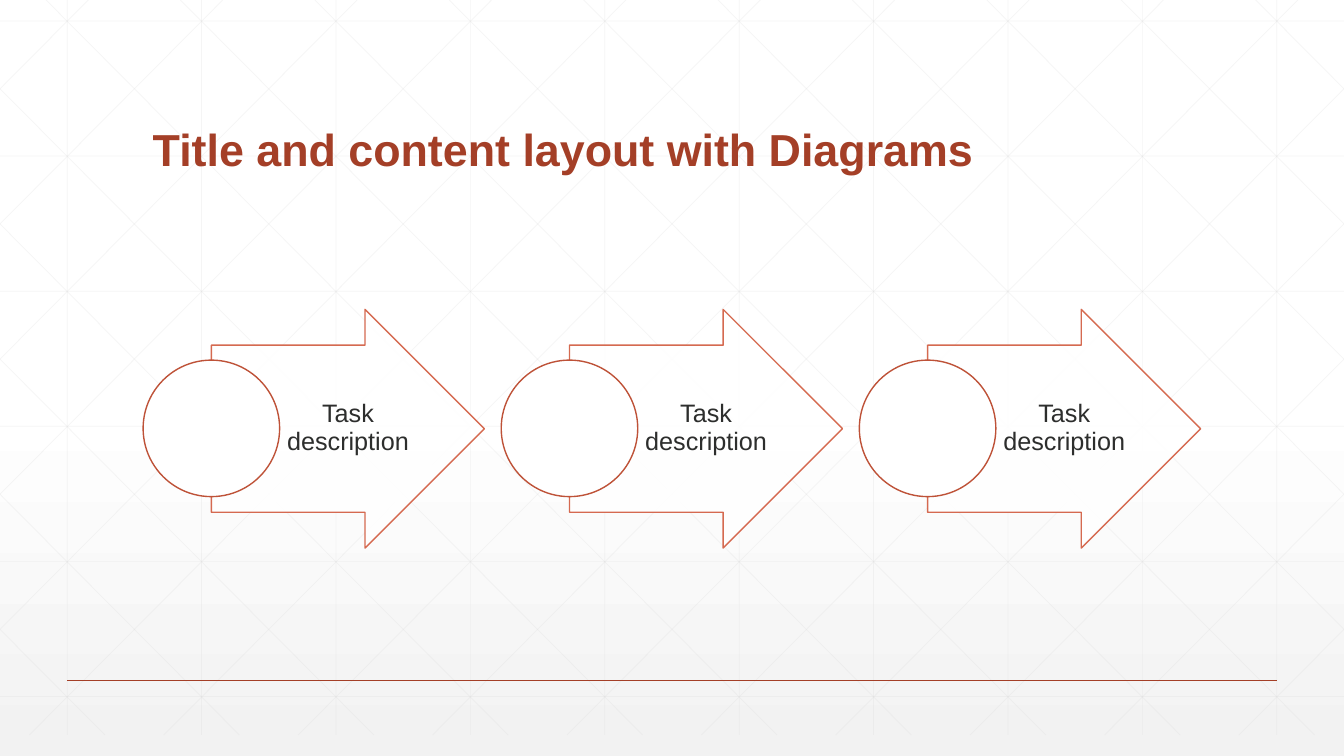
import dataclasses

import lxml.etree
import pptx
import pptx.dml.color
import pptx.enum.dml
import pptx.enum.shapes
import pptx.enum.text
import pptx.oxml.ns
import pptx.util

Pt = pptx.util.Pt
RGB = pptx.dml.color.RGBColor
Preset = pptx.enum.shapes.MSO_SHAPE
Align = pptx.enum.text.PP_ALIGN
Anchor = pptx.enum.text.MSO_ANCHOR
qn = pptx.oxml.ns.qn


@dataclasses.dataclass(frozen=True)
class Theme:
    font: str = "Arial"
    title_size: float = 32
    task_size: float = 18
    accent: str = "A43F27"
    text: str = "2D2E2D"
    arrow_line: str = "D15A3E"
    circle_line: str = "BE5238"
    paper: str = "FFFFFF"
    shade: str = "F2F2F2"
    grid: str = "D9D9D9"


@dataclasses.dataclass(frozen=True)
class Box:
    left: float
    top: float
    width: float
    height: float

    def shifted(self, offset: float) -> "Box":
        return dataclasses.replace(self, left=self.left + offset)

    def lengths(self) -> list:
        return [Pt(value) for value in dataclasses.astuple(self)]


@dataclasses.dataclass(frozen=True)
class Line:
    x1: float
    y1: float
    x2: float
    y2: float

    def mirrored(self) -> "Line":
        return Line(WIDTH - self.x1, self.y1, WIDTH - self.x2, self.y2)


@dataclasses.dataclass(frozen=True)
class Outline:
    preset: int
    box: Box
    color: str
    opacity: int = 100


THEME = Theme()
WIDTH, HEIGHT = 960, 540
GRID_TOP, GRID_BOTTOM = -15, 525
DIAGONAL_RUN = 537
SLOPE = (GRID_BOTTOM - GRID_TOP) / DIAGONAL_RUN
STEP_PITCH = 255.8

TITLE_BOX = Box(102, 39.6, 756, 90)
ARROW = Outline(Preset.RIGHT_ARROW, Box(151, 221, 195, 170.5), THEME.arrow_line, 90)
CIRCLE = Outline(Preset.OVAL, Box(102.25, 257.25, 97.5, 97.5), THEME.circle_line)
TASK_BOX = Box(200.2, 246.2, 95.2, 119.5)
TASKS = ["Task description"] * 3


def set_opacity(parent, percent: int) -> None:
    for color in parent.iter(qn("a:srgbClr")):
        lxml.etree.SubElement(color, qn("a:alpha"), val=str(percent * 1000))


def draw_line(slide, line: Line, color: str, weight: float, opacity: int = 100) -> None:
    ends = [Pt(value) for value in dataclasses.astuple(line)]
    connector = slide.shapes.add_connector(pptx.enum.shapes.MSO_CONNECTOR.STRAIGHT, *ends)
    connector.line.color.rgb = RGB.from_string(color)
    connector.line.width = Pt(weight)
    properties = connector._element.spPr
    if opacity < 100:
        set_opacity(properties, opacity)
    lxml.etree.SubElement(properties, qn("a:effectLst"))


def draw_outline(slide, outline: Outline, offset: float):
    shape = slide.shapes.add_shape(outline.preset, *outline.box.shifted(offset).lengths())
    shape.shadow.inherit = False
    shape.fill.solid()
    shape.fill.fore_color.rgb = RGB.from_string(THEME.paper)
    shape.line.color.rgb = RGB.from_string(outline.color)
    shape.line.width = Pt(1)
    if outline.opacity < 100:
        set_opacity(shape._element.spPr, outline.opacity)
    return shape


def draw_text(slide, box: Box, text: str, size: float, color: str, anchor, align, bold: bool = False):
    frame = slide.shapes.add_textbox(*box.lengths()).text_frame
    frame.word_wrap = True
    frame.vertical_anchor = anchor
    paragraph = frame.paragraphs[0]
    paragraph.text = text
    paragraph.alignment = align
    paragraph.line_spacing = 0.9
    paragraph.font.name = THEME.font
    paragraph.font.size = Pt(size)
    paragraph.font.bold = bold
    paragraph.font.color.rgb = RGB.from_string(color)
    return frame


def grid_lines() -> list[Line]:
    verticals = [Line(48 + 96 * i, 0, 48 + 96 * i, GRID_BOTTOM) for i in range(10)]
    horizontals = [Line(0, 15 + 96.5 * i, WIDTH, 15 + 96.5 * i) for i in range(6)]
    diagonals = []
    for i in range(-5, 10):
        origin = 18 + 96 * i
        start = max(0, origin - GRID_TOP / SLOPE)
        end = min(WIDTH, origin + DIAGONAL_RUN)
        heights = [GRID_TOP + (x - origin) * SLOPE for x in (start, end)]
        diagonals.append(Line(start, heights[0], end, heights[1]))
    return verticals + horizontals + diagonals + [line.mirrored() for line in diagonals]


def draw_background(slide) -> None:
    fill = slide.background.fill
    fill.gradient()
    fill.gradient_angle = 270
    for stop, position, color in zip(fill.gradient_stops, (0.53, 1), (THEME.paper, THEME.shade)):
        stop.position = position
        stop.color.rgb = RGB.from_string(color)
    for line in grid_lines():
        draw_line(slide, line, THEME.grid, 0.5, 25)
    draw_line(slide, Line(48, 486, 912, 486), THEME.accent, 1)


def draw_step(slide, task: str, offset: float) -> None:
    arrow = draw_outline(slide, ARROW, offset)
    arrow.adjustments[0] = 0.7
    arrow.adjustments[1] = 0.5
    label = draw_text(slide, TASK_BOX.shifted(offset), task, THEME.task_size, THEME.text,
                      Anchor.MIDDLE, Align.CENTER)
    label.margin_left, label.margin_right = Pt(3.6), Pt(2)
    label.margin_top = label.margin_bottom = Pt(0.9)
    draw_outline(slide, CIRCLE, offset)


presentation = pptx.Presentation()
presentation.slide_width, presentation.slide_height = Pt(WIDTH), Pt(HEIGHT)
process = presentation.slides.add_slide(presentation.slide_layouts[6])
draw_background(process)
draw_text(process, TITLE_BOX, "Title and content layout with Diagrams", THEME.title_size,
          THEME.accent, Anchor.BOTTOM, Align.LEFT, bold=True)
for index, task in enumerate(TASKS):
    draw_step(process, task, index * STEP_PITCH)
presentation.save("out.pptx")
